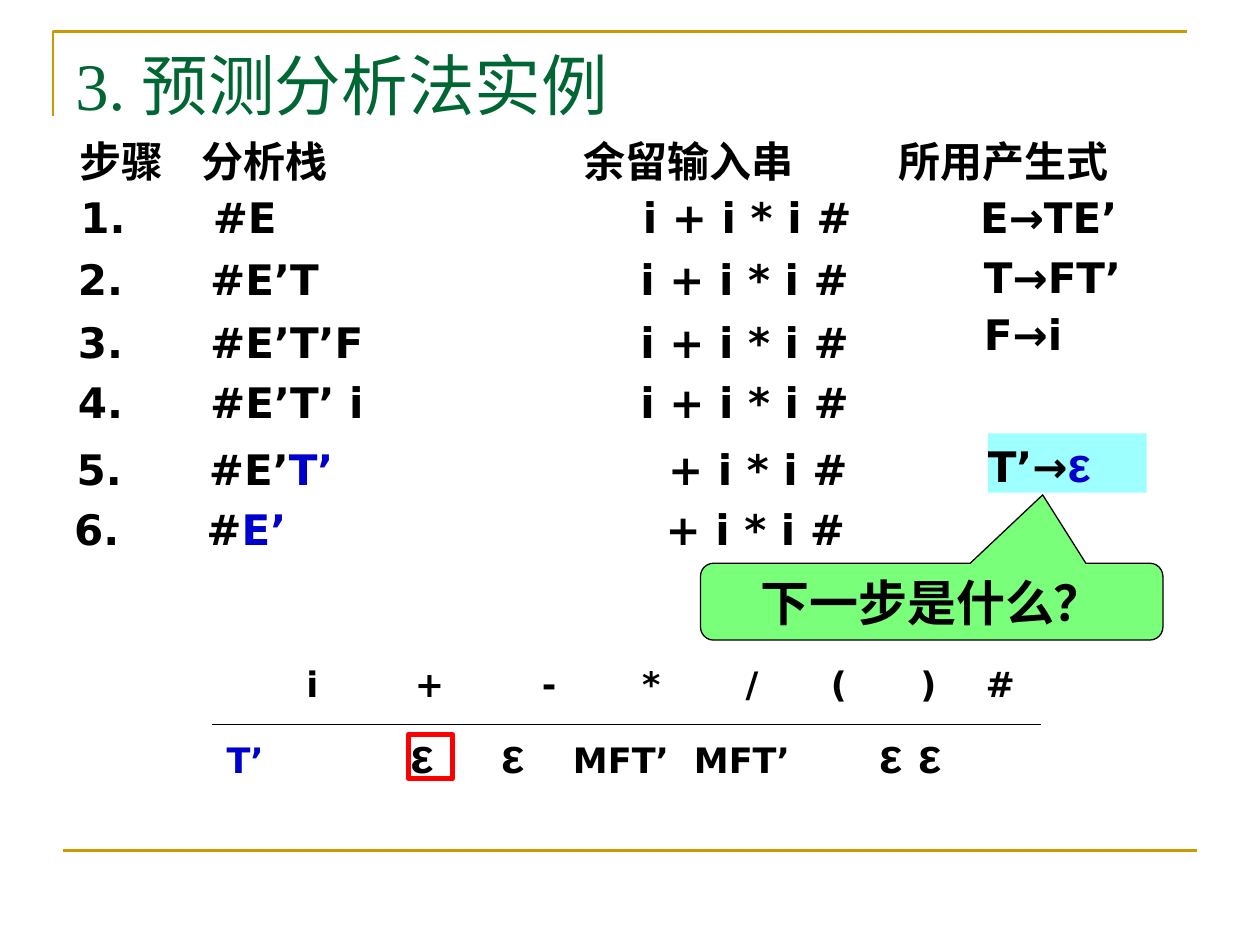
from dataclasses import dataclass

from lxml import etree
from pptx import Presentation
from pptx import util as u
from pptx.dml.color import RGBColor
from pptx.enum import shapes, text
from pptx.oxml.ns import qn


@dataclass(frozen=True)
class Theme:
    black: str = "000000"
    blue: str = "0000CC"
    green: str = "006633"
    gold: str = "CC9900"
    red: str = "FF0000"
    cyan: str = "00FFFF"
    lime: str = "00FF00"
    sans: str = "DejaVu Sans"
    latin: str = "Arial"
    serif: str = "Times New Roman"
    title: int = 38
    large: int = 28
    body: int = 24
    small: int = 20


THEME = Theme()
BODY = {"name": THEME.sans, "size": THEME.body, "bold": True, "color": THEME.black}
HEADER = BODY | {"name": THEME.latin}
BLUE = BODY | {"color": THEME.blue}
SMALL = BODY | {"size": THEME.small}
EPSILON = HEADER | {"size": THEME.large}
TITLE = {"name": THEME.serif, "size": THEME.title, "bold": False, "color": THEME.green}

# Tab stops: (distance from the text edge, alignment)
HEADER_TABS = [(0.97, "l"), (4.0, "l"), (6.5, "l")]
STEP_TABS = [(1.05, "l"), (6.12, "r"), (7.14, "l")]
SYMBOL_TABS = [(x, "ctr") for x in (0.63, 1.56, 2.51, 3.32, 4.12, 4.81, 5.52, 6.09)]
ENTRY_TABS = [(x, "ctr") for x in (1.55, 2.27, 3.13, 4.09, 5.27, 5.58)]

# Left, top and runs of each step
STEPS = [
    (0.54, 1.47, [("1.\t#E\ti + i * i #\tE→TE’", BODY)]),
    (0.52, 1.96, [("2.\t#E’T\ti + i * i #", BODY)]),
    (0.52, 2.46, [("3.\t#E’T’F\ti + i * i #", BODY)]),
    (0.52, 2.94, [("4.\t#E’T’ i\ti + i * i #", BODY)]),
    (0.51, 3.47, [("5.\t#E’", BODY), ("T’", BLUE), ("\t+ i * i #", BODY)]),
    (0.49, 3.95, [("6.\t#", BODY), ("E’", BLUE), ("\t+ i * i #", BODY)]),
]


def write_text(shape, runs, tabs=(), inset=None, **paragraph_format):
    frame = shape.text_frame
    frame.word_wrap = True
    if inset is not None:
        for side in ("left", "top", "right", "bottom"):
            setattr(frame, f"margin_{side}", u.Inches(inset))
    paragraph = frame.paragraphs[0]
    for name, value in paragraph_format.items():
        setattr(paragraph, name, value)
    if tabs:
        tab_list = etree.SubElement(paragraph._p.get_or_add_pPr(), qn("a:tabLst"))
        for position, alignment in tabs:
            etree.SubElement(tab_list, qn("a:tab"), pos=str(u.Inches(position)), algn=alignment)
    for words, style in runs:
        run = paragraph.add_run()
        run.text = words
        values = {"name": style["name"], "size": u.Pt(style["size"]), "bold": style["bold"]}
        for name, value in values.items():
            setattr(run.font, name, value)
        run.font.color.rgb = RGBColor.from_string(style["color"])


def add_text(slide, place, runs, **options):
    shape = slide.shapes.add_textbox(*map(u.Inches, place))
    write_text(shape, runs, **options)


def set_line(shape, color, width):
    shape.line.color.rgb = RGBColor.from_string(color)
    shape.line.width = u.Pt(width)


def add_box(slide, kind, place, fill=None, opacity=100, line=None):
    shape = slide.shapes.add_shape(kind, *map(u.Inches, place))
    shape.shadow.inherit = False
    if fill:
        shape.fill.solid()
        shape.fill.fore_color.rgb = RGBColor.from_string(fill)
        color = shape._element.spPr.find(f"{qn('a:solidFill')}/{qn('a:srgbClr')}")
        etree.SubElement(color, qn("a:alpha"), val=str(opacity * 1000))
    else:
        shape.fill.background()
    if line:
        set_line(shape, *line)
    else:
        shape.line.fill.background()
    return shape


def add_rule(slide, left, right, y, color, width):
    line = slide.shapes.add_connector(
        shapes.MSO_CONNECTOR.STRAIGHT, *map(u.Inches, (left, y, right, y)))
    set_line(line, color, width)
    etree.SubElement(line._element.spPr, qn("a:effectLst"))


def add_corner(slide):
    builder = slide.shapes.build_freeform(u.Inches(0.42), u.Inches(0.92))
    builder.add_line_segments(
        [(u.Inches(0.42), u.Inches(0.25)), (u.Inches(9.42), u.Inches(0.25))], close=False)
    corner = builder.convert_to_shape()
    corner.shadow.inherit = False
    corner.fill.background()
    set_line(corner, THEME.gold, 1.5)


def add_steps(slide):
    add_text(slide, (0.53, 1.03, 9.11, 0.5),
             [("步骤\t分析栈\t余留输入串\t所用产生式", HEADER)], tabs=HEADER_TABS)
    for left, top, runs in STEPS:
        add_text(slide, (left, top, 9.11, 0.5), runs, tabs=STEP_TABS)
    for top, production in ((2, "T→FT’"), (2.45, "F→i")):
        add_text(slide, (7.81, top, 1.17, 0.4), [(production, BODY)], inset=0)


def add_parse_row(slide):
    add_text(slide, (1.75, 5.21, 6.58, 0.5),
             [("\ti\t+\t-\t*\t/\t(\t)\t#", SMALL)], tabs=SYMBOL_TABS)
    add_text(slide, (1.7, 5.7, 6.78, 0.57),
             [("T’", SMALL | {"color": THEME.blue}), ("\tε\tε", EPSILON),
              ("\tMFT’\tMFT’", SMALL), ("\tε\tε", EPSILON)], tabs=ENTRY_TABS)
    add_rule(slide, 1.68, 8.26, 5.75, THEME.black, 0.75)
    add_box(slide, shapes.MSO_SHAPE.RECTANGLE, (3.24, 5.83, 0.35, 0.35), line=(THEME.red, 3))


def add_question(slide):
    highlight = add_box(slide, shapes.MSO_SHAPE.RECTANGLE, (7.84, 3.44, 1.26, 0.47),
                        THEME.cyan, 38)
    highlight.text_frame.vertical_anchor = text.MSO_ANCHOR.TOP
    write_text(highlight, [("T’→", BODY), ("ε", EPSILON | {"color": THEME.blue})],
               inset=0, alignment=text.PP_ALIGN.LEFT)
    callout = add_box(slide, shapes.MSO_SHAPE.ROUNDED_RECTANGULAR_CALLOUT,
                      (5.56, 4.47, 3.67, 0.61), THEME.lime, 52, (THEME.black, 0.75))
    for index, value in enumerate((0.24, -1.39, 0.17)):
        callout.adjustments[index] = value
    write_text(callout, [("下一步是什么？", EPSILON)], alignment=text.PP_ALIGN.CENTER)


def main():
    presentation = Presentation()
    presentation.slide_width, presentation.slide_height = u.Inches(10), u.Inches(7.5)
    slide = presentation.slides.add_slide(presentation.slide_layouts[6])
    # Frame and title
    add_corner(slide)
    add_rule(slide, 0.5, 9.5, 6.75, THEME.gold, 1.5)
    add_text(slide, (0.5, 0.3, 9, 1.25), [("3. 预测分析法实例", TITLE)])
    # Parsing steps, table row and question
    add_steps(slide)
    add_parse_row(slide)
    add_question(slide)
    presentation.save("out.pptx")


if __name__ == "__main__":
    main()
